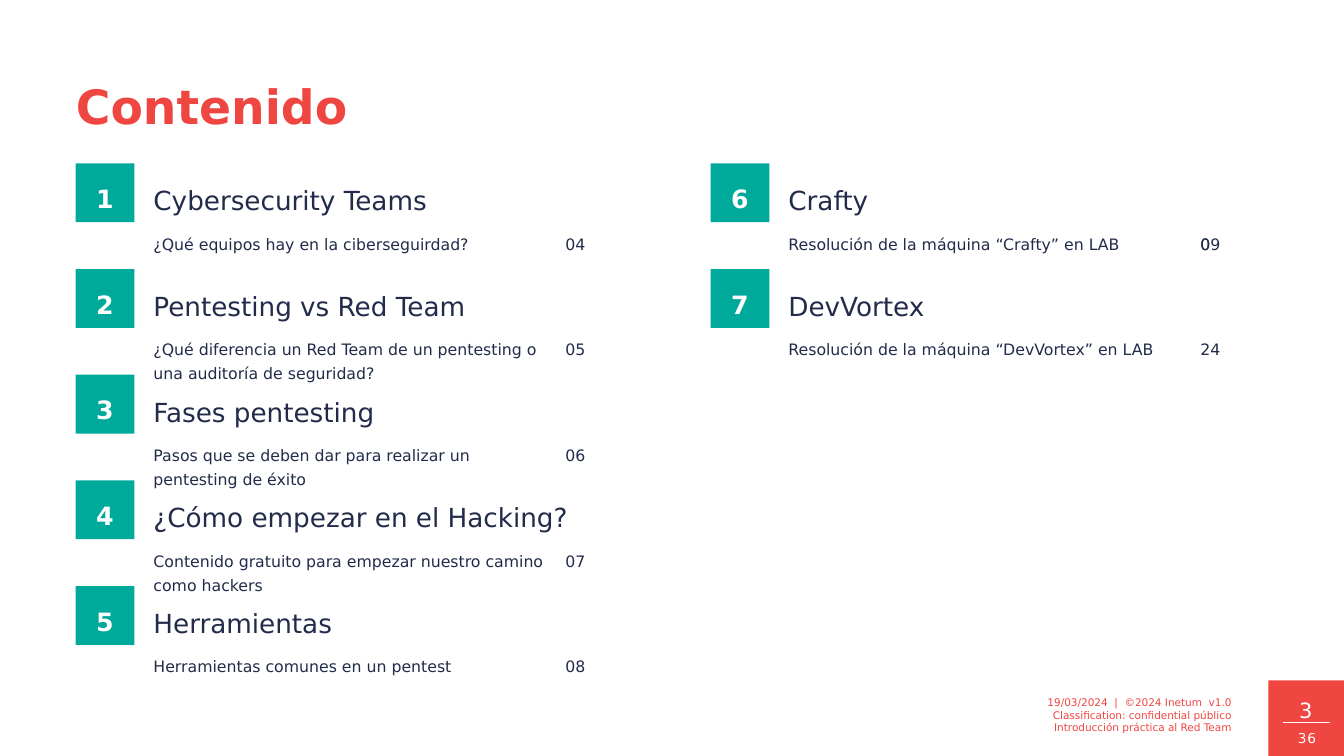
from dataclasses import dataclass

from lxml.etree import SubElement
from pptx import Presentation
from pptx.dml.color import RGBColor
from pptx.enum.shapes import MSO_CONNECTOR, MSO_SHAPE
from pptx.enum.text import MSO_ANCHOR, MSO_AUTO_SIZE, PP_ALIGN
from pptx.oxml.ns import qn
from pptx.util import Pt

FONT = "DejaVu Sans"
RED, TEAL, NAVY, WHITE = "EF4641", "00AA9B", "222C4A", "FFFFFF"
COLUMN_LEFTS = (72, 676.8)
FIRST_TOP, ROW_PITCH, ROWS_PER_COLUMN = 155.6, 100.66, 5
BADGE_SIZE = 56
TEXT_OFFSET, PAGE_OFFSET = 72.8, 465.2
HEADING_DROP, DETAIL_DROP = 18.4, 61.2


@dataclass(frozen=True)
class Entry:
    heading: str
    detail: str
    page: str


ENTRIES = (
    Entry("Cybersecurity Teams", "¿Qué equipos hay en la ciberseguirdad?", "04"),
    Entry("Pentesting vs Red Team",
          "¿Qué diferencia un Red Team de un pentesting o una auditoría de seguridad?", "05"),
    Entry("Fases pentesting",
          "Pasos que se deben dar para realizar un pentesting de éxito", "06"),
    Entry("¿Cómo empezar en el Hacking?",
          "Contenido gratuito para empezar nuestro camino como hackers", "07"),
    Entry("Herramientas", "Herramientas comunes en un pentest", "08"),
    Entry("Crafty", "Resolución de la máquina “Crafty” en LAB", "09"),
    Entry("DevVortex", "Resolución de la máquina “DevVortex” en LAB", "24"),
)


def color(value: str) -> RGBColor:
    return RGBColor.from_string(value)


def write(shape, text: str, *, size: float, fill: str = NAVY, bold: bool = False,
          align=PP_ALIGN.LEFT, anchor=MSO_ANCHOR.TOP, insets=(0, 0, 0, 0),
          line_spacing: float = 1.0, tracking: float = 0, grow: bool = False) -> None:
    """Put text in a shape; insets run left, top, right, bottom."""
    frame = shape.text_frame
    frame.text = text
    frame.word_wrap = True
    frame.auto_size = MSO_AUTO_SIZE.SHAPE_TO_FIT_TEXT if grow else MSO_AUTO_SIZE.NONE
    frame.vertical_anchor = anchor
    frame.margin_left, frame.margin_top, frame.margin_right, frame.margin_bottom = map(Pt, insets)
    for paragraph in frame.paragraphs:
        paragraph.alignment = align
        paragraph.line_spacing = line_spacing
        paragraph.space_before = Pt(0)
        for run in paragraph.runs:
            run.font.name, run.font.size, run.font.bold = FONT, Pt(size), bold
            run.font.color.rgb = color(fill)
            if tracking:
                run._r.get_or_add_rPr().set("spc", str(round(tracking * 100)))


def add_text(slide, left: float, top: float, width: float, height: float,
             text: str, **text_format) -> None:
    box = slide.shapes.add_textbox(Pt(left), Pt(top), Pt(width), Pt(height))
    write(box, text, **text_format)


def add_square(slide, left: float, top: float, size: float, fill: str):
    square = slide.shapes.add_shape(MSO_SHAPE.RECTANGLE, Pt(left), Pt(top), Pt(size), Pt(size))
    square.shadow.inherit = False
    square.fill.solid()
    square.fill.fore_color.rgb = color(fill)
    square.line.fill.background()
    return square


def add_detail(slide, left: float, top: float, width: float, text: str) -> None:
    add_text(slide, left, top, width, 21.6, text, size=15, line_spacing=1.28,
             insets=(1.4, 1.4, 8.6, 0), grow=True)


def add_entry(slide, index: int, entry: Entry) -> None:
    column, row = divmod(index, ROWS_PER_COLUMN)
    left = COLUMN_LEFTS[column]
    top = FIRST_TOP + row * ROW_PITCH
    badge = add_square(slide, left, top, BADGE_SIZE, TEAL)
    write(badge, str(index + 1), size=24, fill=WHITE, bold=True, align=PP_ALIGN.CENTER,
          insets=(0, 16, 0, 0), line_spacing=1.1, tracking=-1)
    add_text(slide, left + TEXT_OFFSET, top + HEADING_DROP, 440.6, 31.7, entry.heading,
             size=25, anchor=MSO_ANCHOR.BOTTOM, insets=(1.4, 1.4, 0, 0),
             line_spacing=1.1, grow=True)
    add_detail(slide, left + TEXT_OFFSET, top + DETAIL_DROP, 383, entry.detail)
    add_detail(slide, left + PAGE_OFFSET, top + DETAIL_DROP, 49, entry.page)


def add_footer(slide) -> None:
    add_square(slide, 1208.2, 648, 72, RED)
    add_text(slide, 1216.8, 661.7, 54, 22.3, "3", size=20, fill=WHITE,
             align=PP_ALIGN.CENTER, insets=(0, 2.2, 0, 0), tracking=1)
    rule = slide.shapes.add_connector(MSO_CONNECTOR.STRAIGHT, Pt(1221.8), Pt(687.6),
                                      Pt(1266.5), Pt(687.6))
    rule.line.color.rgb = color(WHITE)
    rule.line.width = Pt(0.5)
    SubElement(rule._element.spPr, qn("a:effectLst"))
    add_text(slide, 1209.6, 692.6, 70.6, 22.3, "36", size=13, fill=WHITE,
             align=PP_ALIGN.CENTER, insets=(0, 2.2, 0, 0), tracking=0.8)
    add_text(slide, 748.1, 659.5, 432, 43.9,
             "19/03/2024  |  ©2024 Inetum  v1.0\n"
             "Classification: confidential público\n"
             "Introducción práctica al Red Team",
             size=10, fill=RED, align=PP_ALIGN.RIGHT, insets=(7.2, 3.6, 7.2, 3.6))


def main() -> None:
    presentation = Presentation()
    presentation.slide_width, presentation.slide_height = Pt(1280.16), Pt(720)
    slide = presentation.slides.add_slide(presentation.slide_layouts[5])

    # Title
    title = slide.shapes.title
    title.left, title.top, title.width, title.height = Pt(71.3), Pt(73.4), Pt(946), Pt(81.4)
    write(title, "Contenido", size=45, fill=RED, bold=True, insets=(1, 0.5, 0, 0))

    # Numbered contents in two columns
    for index, entry in enumerate(ENTRIES):
        add_entry(slide, index, entry)

    # Second digit laid over the first page number of the right column
    add_detail(slide, COLUMN_LEFTS[1] + PAGE_OFFSET, FIRST_TOP + DETAIL_DROP, 49, "0")

    # Footer and page counter
    add_footer(slide)
    presentation.save("out.pptx")


if __name__ == "__main__":
    main()
